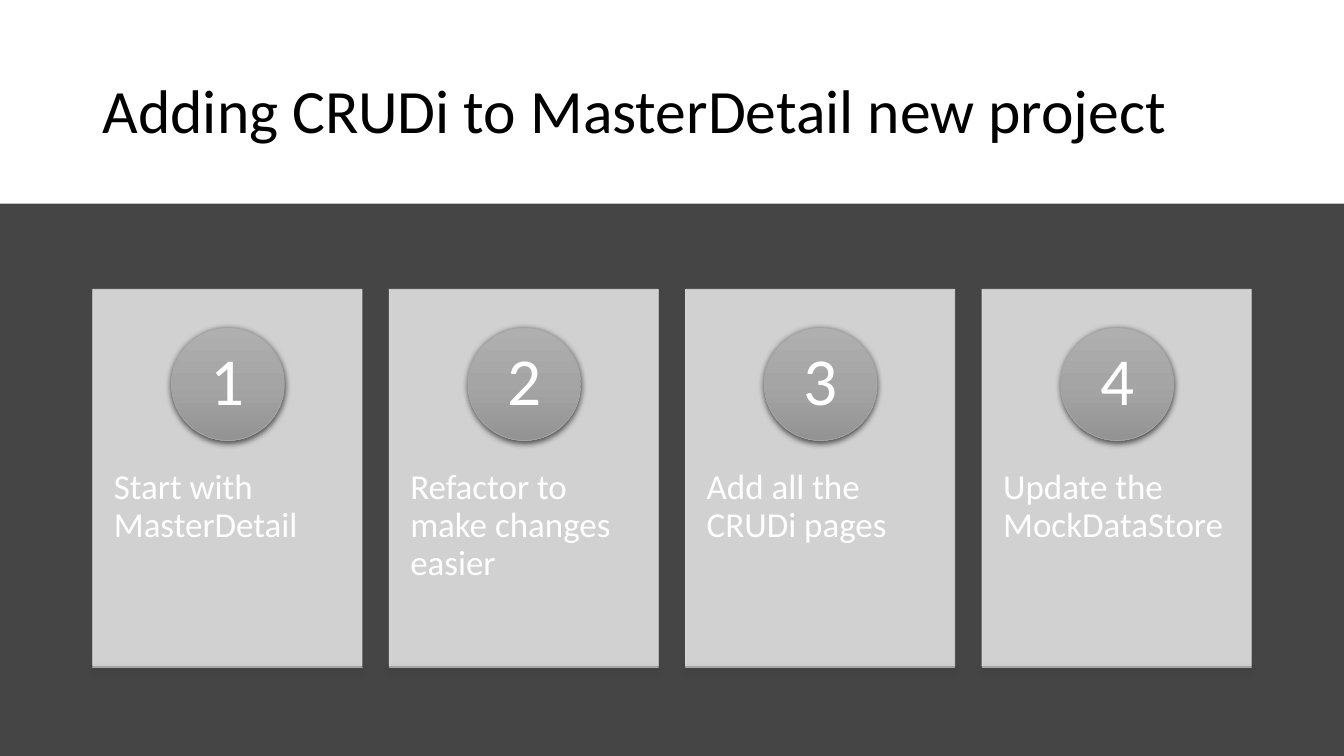
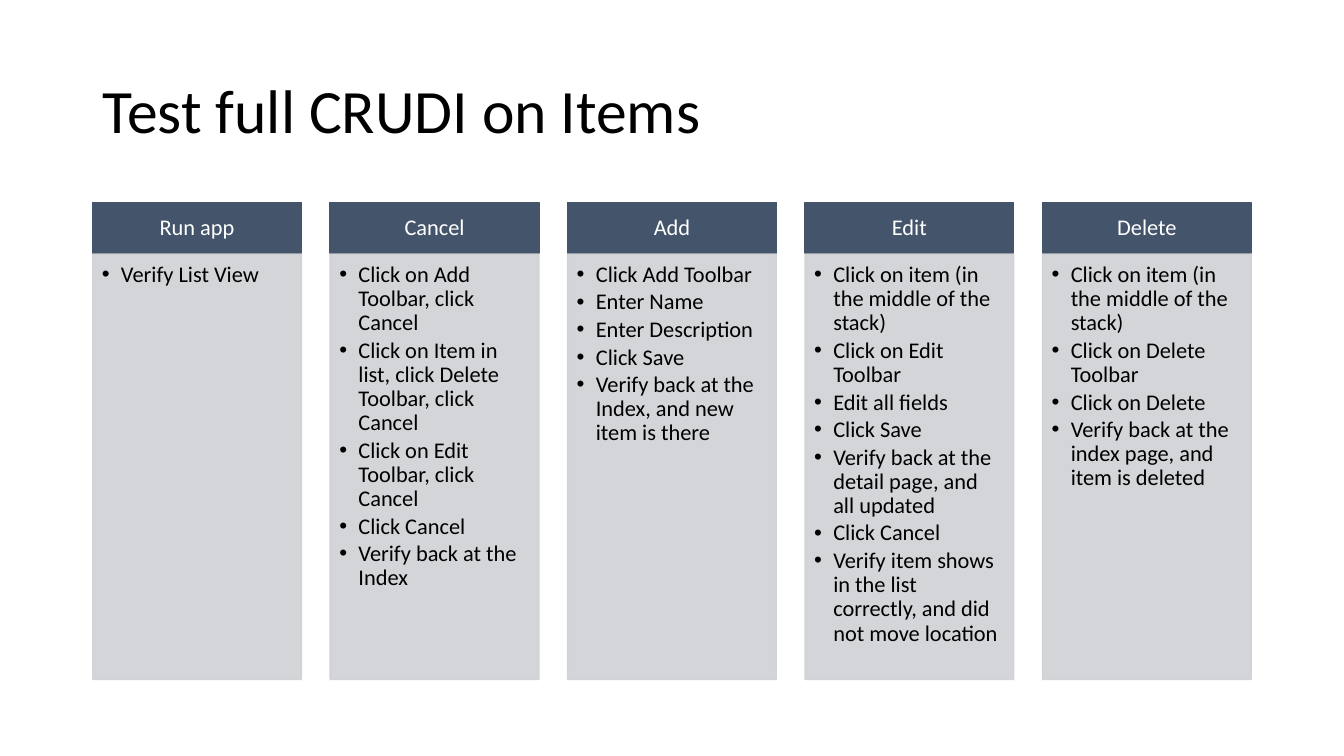
from copy import deepcopy

from lxml.etree import SubElement
from pptx import Presentation
from pptx.dml.color import RGBColor
from pptx.enum.shapes import MSO_SHAPE
from pptx.enum.text import MSO_ANCHOR, PP_ALIGN
from pptx.oxml.ns import qn
from pptx.util import Inches, Pt

WHITE = RGBColor(0xFF, 0xFF, 0xFF)
BLACK = RGBColor(0x00, 0x00, 0x00)
DARK = RGBColor(0x45, 0x45, 0x45)
CARD = RGBColor(0xE1, 0xE1, 0xE1)
NAVY = RGBColor(0x44, 0x54, 0x6A)
PALE = RGBColor(0xCF, 0xD1, 0xD4)
GREY = RGBColor(0xA5, 0xA5, 0xA5)
METAL = [RGBColor(0xAF, 0xAF, 0xAF), GREY, RGBColor(0x93, 0x93, 0x93)]

FONT = "Calibri"
LEFT, SPAN = 0.92, 11.49


def add_box(slide, kind, area, color, line=None, alpha=None):
    """Add a flat shape, with an outline and see-through colour on request."""
    box = slide.shapes.add_shape(kind, *[Inches(n) for n in area])
    box.shadow.inherit = False
    box.fill.solid()
    box.fill.fore_color.rgb = color
    if line:
        box.line.color.rgb = color
        box.line.width = Pt(line)
    else:
        box.line.fill.background()
    if alpha:
        for tint in box._element.spPr.iter(qn("a:srgbClr")):
            SubElement(tint, qn("a:alpha"), val=str(alpha * 1000))
    return box


def write(shape, lines, size, color, inset, anchor=MSO_ANCHOR.TOP,
          align=PP_ALIGN.LEFT, bullet=False):
    """Fill a shape with one paragraph per line of text."""
    frame = shape.text_frame
    frame.word_wrap = True
    frame.vertical_anchor = anchor
    (frame.margin_left, frame.margin_top,
     frame.margin_right, frame.margin_bottom) = [Inches(n) for n in inset]
    for i, line in enumerate(lines):
        para = frame.add_paragraph() if i else frame.paragraphs[0]
        para.alignment = align
        para.line_spacing = 0.9
        if bullet:
            para.space_after = Pt(2.4)
            props = para._p.get_or_add_pPr()
            props.set("marL", str(Inches(0.19)))
            props.set("indent", str(Inches(-0.19)))
            SubElement(props, qn("a:buFont"), typeface="Arial")
            SubElement(props, qn("a:buChar"), char="•")
        run = para.add_run()
        run.text = line
        run.font.name = FONT
        run.font.size = Pt(size)
        run.font.color.rgb = color


deck = Presentation()
deck.slide_width = Inches(13.33)
deck.slide_height = Inches(7.5)

# Backgrounds and titles
pages = []
for title, back in [("Adding CRUDi to MasterDetail new project", DARK),
                    ("Test full CRUDI on Items", WHITE)]:
    slide = deck.slides.add_slide(deck.slide_layouts[6])
    slide.background.fill.solid()
    slide.background.fill.fore_color.rgb = back
    if back == DARK:
        add_box(slide, MSO_SHAPE.RECTANGLE, (0, -0.01, 13.33, 2.03), WHITE)
    head = slide.shapes.add_textbox(
        Inches(LEFT), Inches(0.4), Inches(11.5), Inches(1.45))
    write(head, [title], 44, BLACK, (0.1, 0.05, 0.1, 0.05), MSO_ANCHOR.MIDDLE)
    pages.append(slide)
steps, tests = pages

# Slide 1: numbered cards
cards = ["Start with MasterDetail", "Refactor to make changes easier",
         "Add all the CRUDi pages", "Update the MockDataStore"]
wide = 2.67
pitch = (SPAN - wide) / (len(cards) - 1)
for i, text in enumerate(cards):
    x = LEFT + i * pitch
    card = add_box(steps, MSO_SHAPE.RECTANGLE, (x, 2.87, wide, 3.74),
                   CARD, 0.5, 90)
    write(card, [text], 25, WHITE, (0.21, 1.79, 0.21, 0.36))
    disc = add_box(steps, MSO_SHAPE.OVAL, (x + 0.78, 3.25, 1.12, 1.12),
                   GREY, 0.5)
    write(disc, [str(i + 1)], 48, WHITE, (0, 0.01, 0, 0.01),
          MSO_ANCHOR.MIDDLE, PP_ALIGN.CENTER)
    edge = add_box(steps, MSO_SHAPE.RECTANGLE, (x, 6.62, wide, 0), GREY, 0.5)

    # Metal gradient and soft shadow
    for part in (disc, edge):
        part.fill.gradient()
        part.fill.gradient_angle = 270
        props = part._element.spPr
        first = props.find(".//" + qn("a:gs"))
        first.addnext(deepcopy(first))
        for k, stop in enumerate(part.fill.gradient_stops):
            stop.position = k / 2
            stop.color.rgb = METAL[k]
        shade = SubElement(
            props.find(qn("a:effectLst")), qn("a:outerShdw"),
            blurRad=str(Pt(4.5)), dist=str(Pt(1.5)), dir="5400000",
            algn="ctr", rotWithShape="0")
        tint = SubElement(shade, qn("a:srgbClr"), val=str(BLACK))
        SubElement(tint, qn("a:alpha"), val="63000")

# Slide 2: test columns
lists = {
    "Run app": ["Verify List View"],
    "Cancel": ["Click on Add Toolbar, click Cancel",
               "Click on Item in list, click Delete Toolbar, click Cancel",
               "Click on Edit Toolbar, click Cancel",
               "Click Cancel",
               "Verify back at the Index"],
    "Add": ["Click Add Toolbar",
            "Enter Name",
            "Enter Description",
            "Click Save",
            "Verify back at the Index, and new item is there"],
    "Edit": ["Click on item (in the middle of the stack)",
             "Click on Edit Toolbar",
             "Edit all fields",
             "Click Save",
             "Verify back at the detail page, and all updated",
             "Click Cancel",
             "Verify item shows in the list correctly, and did not move location"],
    "Delete": ["Click on item (in the middle of the stack)",
               "Click on Delete Toolbar",
               "Click on Delete",
               "Verify back at the index page, and item is deleted"],
}
wide = 2.07
pitch = (SPAN - wide) / (len(lists) - 1)
for i, (name, items) in enumerate(lists.items()):
    x = LEFT + i * pitch
    top = add_box(tests, MSO_SHAPE.RECTANGLE, (x, 2.01, wide, 0.5), NAVY, 1)
    write(top, [name], 16, WHITE, (0.12, 0.07, 0.12, 0.07),
          MSO_ANCHOR.MIDDLE, PP_ALIGN.CENTER)
    body = add_box(tests, MSO_SHAPE.RECTANGLE, (x, 2.52, wide, 4.22),
                   PALE, 1, 90)
    write(body, items, 16, BLACK, (0.09, 0.09, 0.12, 0.14), bullet=True)

deck.save("out.pptx")
